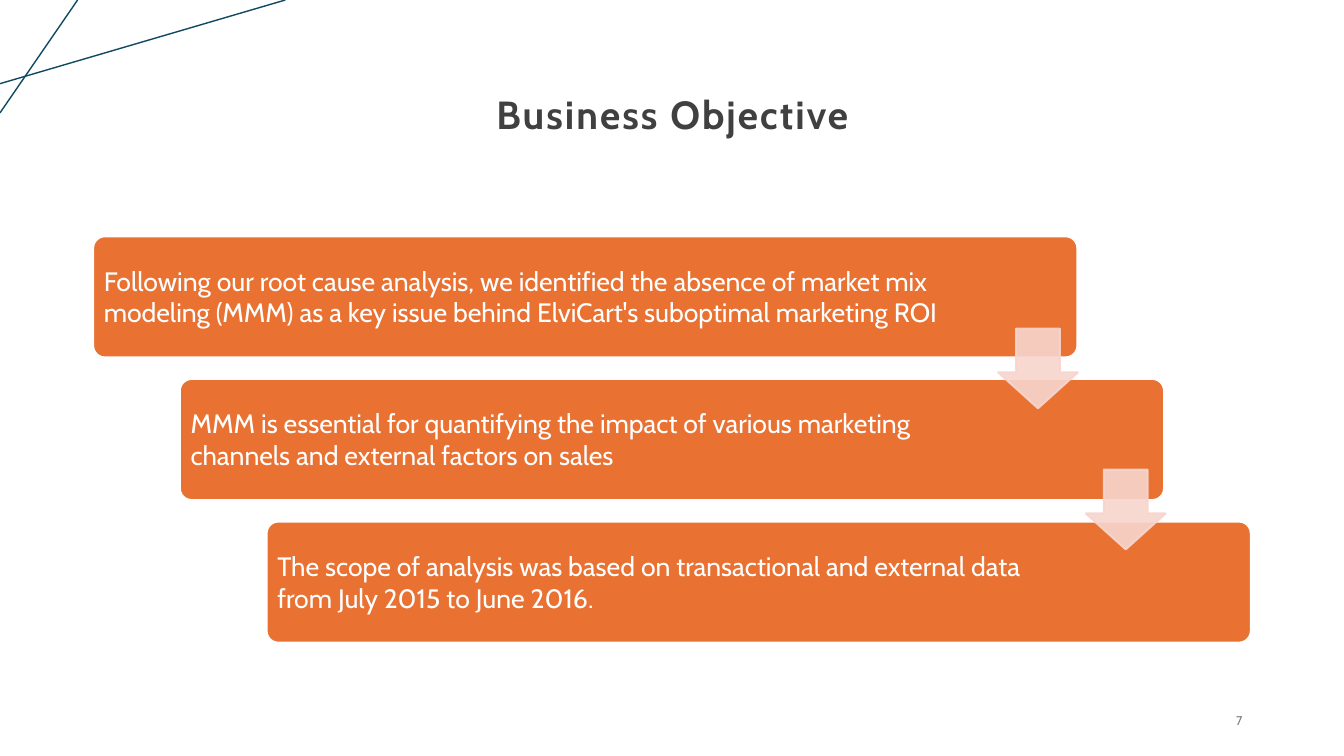
"""Build the Business Objective slide: three stepped statements joined by arrows."""
from lxml import etree
from pptx import Presentation
from pptx.dml.color import RGBColor
from pptx.enum.shapes import MSO_CONNECTOR, MSO_SHAPE
from pptx.enum.text import MSO_ANCHOR, PP_ALIGN
from pptx.oxml.ns import qn
from pptx.util import Inches, Pt

STRAIGHT = MSO_CONNECTOR.STRAIGHT
ROUNDED, DOWN_ARROW = MSO_SHAPE.ROUNDED_RECTANGLE, MSO_SHAPE.DOWN_ARROW
MIDDLE = MSO_ANCHOR.MIDDLE
LEFT, CENTER, RIGHT = PP_ALIGN.LEFT, PP_ALIGN.CENTER, PP_ALIGN.RIGHT

COLORS = {
    "accent": "104862",
    "title": "404040",
    "number": "797979",
    "step": "E97132",
    "arrow": "F7D5CE",
    "white": "FFFFFF",
}

STATEMENTS = [
    ("Following our root cause analysis, we identified the absence of market mix "
     "modeling (MMM) as a key issue behind ElviCart's suboptimal marketing ROI", 8.47),
    ("MMM is essential for quantifying the impact of various marketing channels "
     "and external factors on sales", 8.05),
    ("The scope of analysis was based on transactional and external data "
     "from July 2015 to June 2016.", 8.05),
]


def add_text(text, left, top, width, height, size, color, align, inset=0.1, bold=False):
    box = slide.shapes.add_textbox(Inches(left), Inches(top), Inches(width), Inches(height))
    frame = box.text_frame
    frame_format = {
        "word_wrap": True,
        "vertical_anchor": MIDDLE,
        "margin_left": Inches(inset),
        "margin_right": Inches(inset),
    }
    for name, value in frame_format.items():
        setattr(frame, name, value)
    paragraph = frame.paragraphs[0]
    paragraph.alignment = align
    run = paragraph.add_run()
    run.text = text
    for name, value in {"name": "Cabin", "size": Pt(size), "bold": bold}.items():
        setattr(run.font, name, value)
    run.font.color.rgb = RGBColor.from_string(COLORS[color])
    return run


def add_block(kind, left, top, width, height, fill, line, line_width, adjustments):
    block = slide.shapes.add_shape(kind, Inches(left), Inches(top), Inches(width), Inches(height))
    block.shadow.inherit = False
    block.fill.solid()
    block.fill.fore_color.rgb = RGBColor.from_string(COLORS[fill])
    block.line.color.rgb = RGBColor.from_string(COLORS[line])
    block.line.width = Pt(line_width)
    for index, value in enumerate(adjustments):
        block.adjustments[index] = value
    return block


deck = Presentation()
deck.slide_width, deck.slide_height = Inches(13.33), Inches(7.5)
slide = deck.slides.add_slide(deck.slide_layouts[6])

for ends in [(0, 0.83, 2.83, 0), (0.77, 0, 0, 1.12)]:
    corner_line = slide.shapes.add_connector(STRAIGHT, *map(Inches, ends))
    corner_line.line.color.rgb = RGBColor.from_string(COLORS["accent"])
    corner_line.line.width = Pt(1)
    etree.SubElement(corner_line._element.spPr, qn("a:effectLst"))

title = add_text("Business Objective", 0.92, 0.4, 11.5, 1.45, 28, "title", CENTER, bold=True)
title.font._element.set("spc", "150")
add_text("7", 9.42, 6.95, 3, 0.4, 9, "number", RIGHT)

for step, (statement, text_width) in enumerate(STATEMENTS):
    left, top = 0.92 + 0.86 * step, 2.34 + 1.415 * step
    add_block(ROUNDED, left, top, 9.77, 1.21, "step", "white", 2, [0.1])
    add_text(statement, left + 0.03, top + 0.03, text_width, 1.14, 19, "white", LEFT, inset=0.08)

for step in range(len(STATEMENTS) - 1):
    arrow = add_block(DOWN_ARROW, 9.9 + 0.87 * step, 3.26 + 1.4 * step, 0.79, 0.79,
                      "arrow", "arrow", 1.5, [0.55, 0.45])
    for color in arrow._element.spPr.iter(qn("a:srgbClr")):
        etree.SubElement(color, qn("a:alpha"), val="90000")

deck.save("out.pptx")
